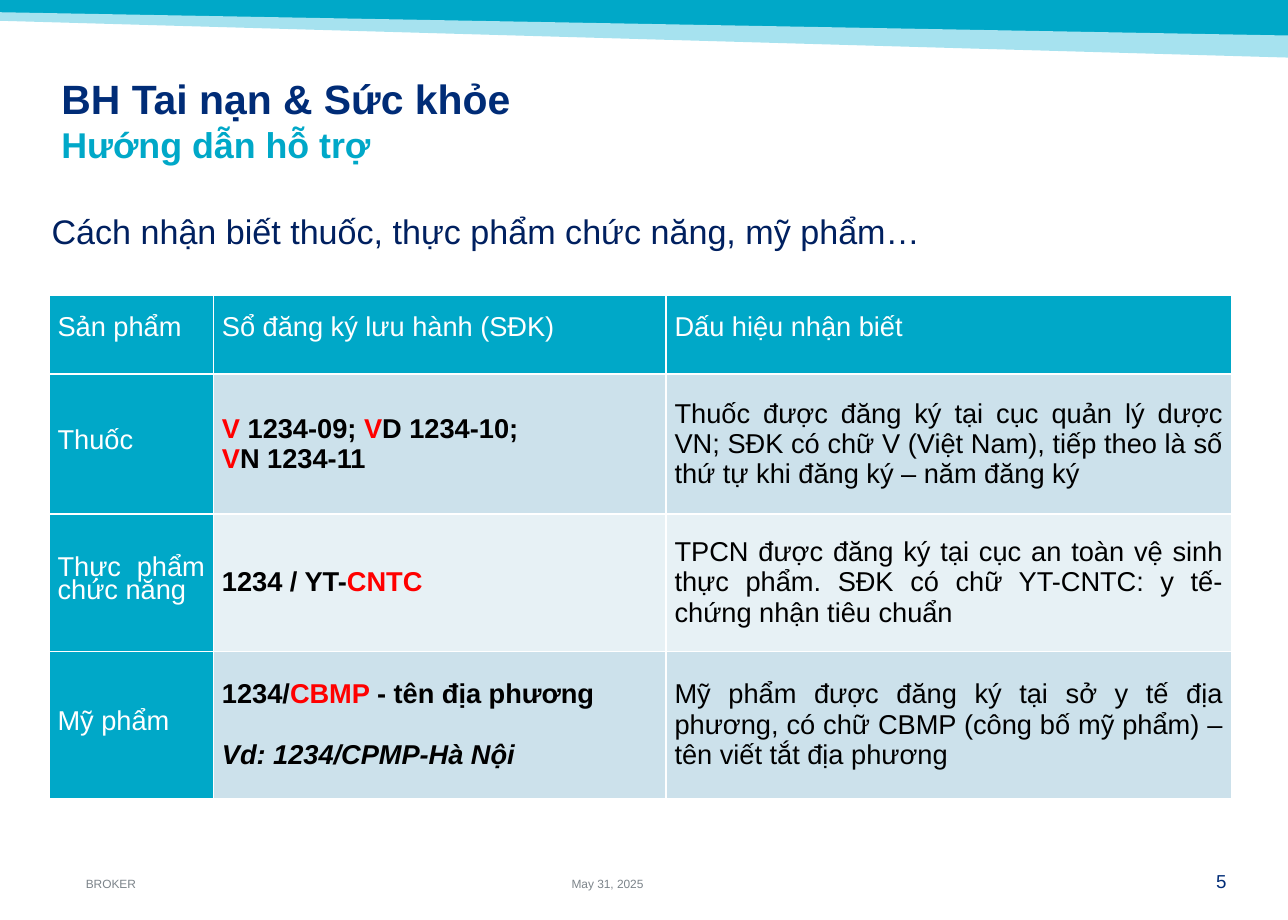
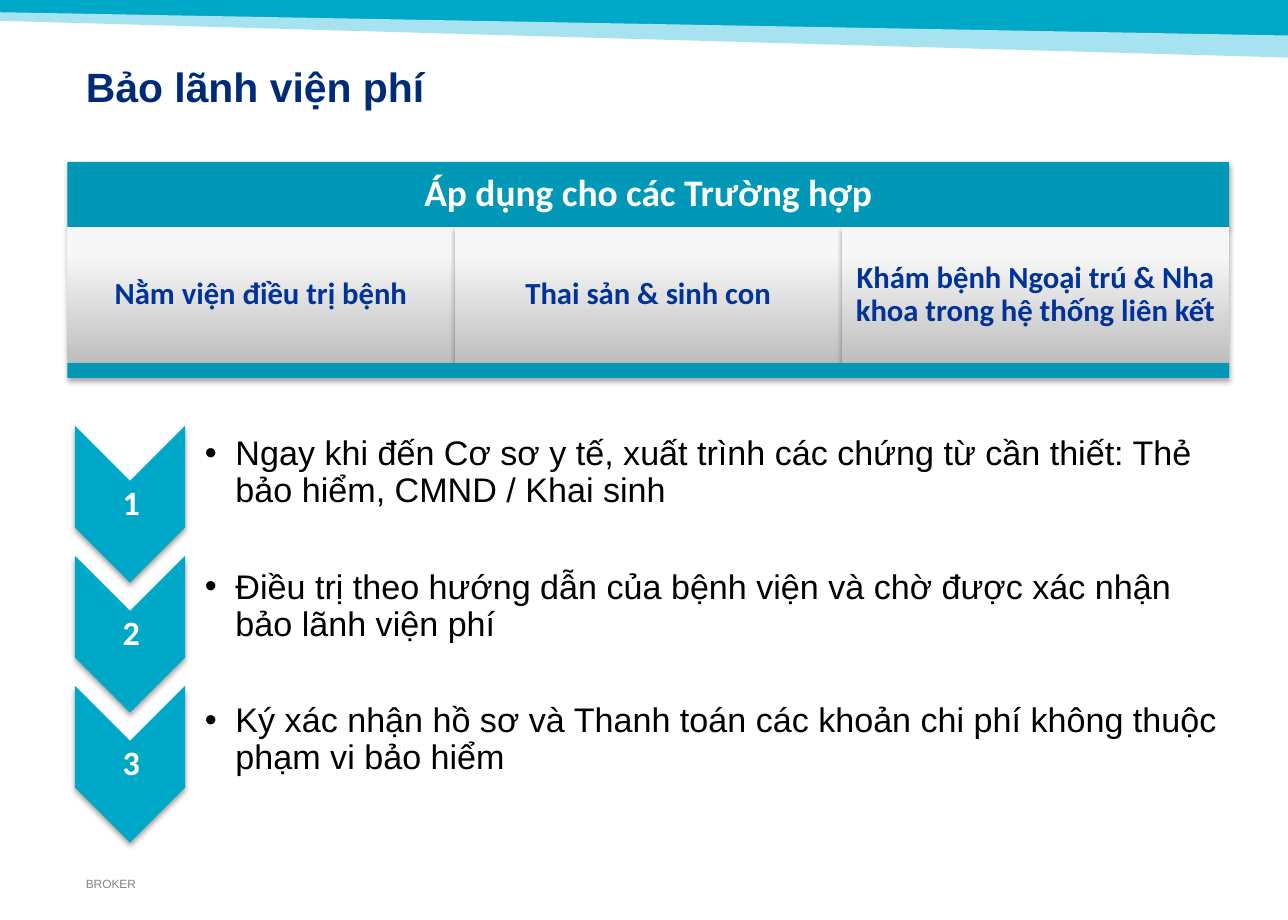
from lxml import etree
from pptx import Presentation
from pptx.dml.color import RGBColor as RGB
from pptx.enum.shapes import MSO_SHAPE as SHAPE
from pptx.enum.text import MSO_ANCHOR as ANCHOR, MSO_AUTO_SIZE as AUTO, PP_ALIGN as ALIGN
from pptx.oxml.ns import qn
from pptx.util import Inches, Pt


class Theme:
    teal = RGB(0x00, 0xA8, 0xC8)
    deep_teal = RGB(0x00, 0x98, 0xB6)
    pale_teal = RGB(0xA6, 0xE2, 0xEF)
    navy = RGB(0x00, 0x2C, 0x77)
    dark_navy = RGB(0x00, 0x20, 0x60)
    blue = RGB(0x00, 0x33, 0x99)
    grey = RGB(0x7C, 0x84, 0x8A)
    red = RGB(0xFF, 0x00, 0x00)
    black = RGB(0x00, 0x00, 0x00)
    white = RGB(0xFF, 0xFF, 0xFF)
    row_fills = (RGB(0xCC, 0xE1, 0xEB), RGB(0xE7, 0xF1, 0xF5))
    fade = (RGB(0xBE, 0xBE, 0xBE), RGB(0xF7, 0xF7, 0xF7))
    body_font, panel_font = "Arial", "Calibri"
    title, subtitle, lead, banner = Pt(24), Pt(21), Pt(20), Pt(22)
    case, table, page, footer = Pt(18), Pt(16), Pt(11), Pt(7)


def write(shape, text, size, color, bold=False, font=Theme.body_font, align=ALIGN.LEFT,
          anchor=ANCHOR.TOP, margins=(0, 0, 0, 0), spacing=None):
    """Put formatted text into a shape, text box or placeholder."""
    frame = shape.text_frame
    frame.text = text
    frame.word_wrap = True
    frame.auto_size = AUTO.NONE
    frame.vertical_anchor = anchor
    (frame.margin_left, frame.margin_top,
     frame.margin_right, frame.margin_bottom) = map(Inches, margins)
    for paragraph in frame.paragraphs:
        paragraph.alignment = align
        paragraph.line_spacing = spacing
        paragraph.space_before = Pt(0)
        for run in paragraph.runs:
            run.font.size, run.font.bold, run.font.name = size, bold, font
            run.font.color.rgb = color


def add_panel(slide, preset, box, color):
    """Add a borderless shape with a soft shadow below it."""
    panel = slide.shapes.add_shape(preset, *map(Inches, box))
    panel.fill.solid()
    panel.fill.fore_color.rgb = color
    panel.line.fill.background()
    panel.shadow.inherit = False
    effects = panel.element.spPr.find(qn("a:effectLst"))
    shadow = etree.SubElement(effects, qn("a:outerShdw"), blurRad="40000", dist="23000",
                              dir="5400000", rotWithShape="0")
    tone = etree.SubElement(shadow, qn("a:srgbClr"), val=str(Theme.black))
    etree.SubElement(tone, qn("a:alpha"), val="35000")
    return panel


prs = Presentation()
prs.slide_width, prs.slide_height = Inches(10.5), Inches(7.5)
products = prs.slides.add_slide(prs.slide_layouts[5])
guarantee = prs.slides.add_slide(prs.slide_layouts[1])
title_margins = (0, 0.05, 0.1, 0.05)

# Shared top bands and footer, moved to the slide master
shared = []
for color, corners in (
    (Theme.teal, [(0, 0), (10.5, 0), (10.5, 0.29), (10.5, 0.32), (0, 0.12)]),
    (Theme.pale_teal, [(0, 0.1), (10.5, 0.29), (10.5, 0.47), (0, 0.17)]),
):
    points = [(Inches(x), Inches(y)) for x, y in corners]
    outline = products.shapes.build_freeform(*points[0])
    outline.add_line_segments(points[1:], close=True)
    band = outline.convert_to_shape()
    band.fill.solid()
    band.fill.fore_color.rgb = color
    band.line.fill.background()
    band.shadow.inherit = False
    shared.append(band)
owner = products.shapes.add_textbox(Inches(0.7), Inches(7.15), Inches(3.16), Inches(0.11))
write(owner, "BROKER", Theme.footer, Theme.grey, anchor=ANCHOR.BOTTOM)
shared.append(owner)
for number, part in enumerate(shared, start=20):
    part.element.nvSpPr.cNvPr.set("id", str(number))
    prs.slide_master.shapes.element.append(part.element)

# Titles
for slide, box, text, size, color, bold, anchor in (
    (products, (0.42, 1.34, 9.5, 0.76), "Cách nhận biết thuốc, thực phẩm chức năng, mỹ phẩm…",
     Theme.lead, Theme.dark_navy, False, ANCHOR.BOTTOM),
    (guarantee, (0.7, 0.36, 9.3, 0.76), "Bảo lãnh viện phí",
     Theme.title, Theme.navy, True, ANCHOR.MIDDLE),
):
    title = slide.shapes.title
    title.left, title.top, title.width, title.height = map(Inches, box)
    write(title, text, size, color, bold, anchor=anchor, margins=title_margins, spacing=0.83)

# Slide 1: section heading
heading = products.shapes.add_textbox(Inches(0.5), Inches(0.55), Inches(9.68), Inches(0.76))
write(heading, "BH Tai nạn & Sức khỏe\nHướng dẫn hỗ trợ", Theme.title, Theme.navy, True,
      margins=title_margins)
subheading = heading.text_frame.paragraphs[1].runs[0].font
subheading.size, subheading.color.rgb = Theme.subtitle, Theme.teal

# Slide 1: product table; the middle column lists paragraphs of (text, colour) runs
headers = ("Sản phẩm", "Sổ đăng ký lưu hành (SĐK)", "Dấu hiệu nhận biết")
rows = (
    ("Thuốc",
     [[("V", Theme.red), (" 1234-09; ", Theme.black), ("V", Theme.red),
       ("D 1234-10;", Theme.black)],
      [("V", Theme.red), ("N 1234-11", Theme.black)]],
     "Thuốc được đăng ký tại cục quản lý dược VN; SĐK có chữ V (Việt Nam), "
     "tiếp theo là số thứ tự khi đăng ký – năm đăng ký"),
    ("Thực phẩm chức năng",
     [[("1234 / YT-", Theme.black), ("CNTC", Theme.red)]],
     "TPCN được đăng ký tại cục an toàn vệ sinh thực phẩm. SĐK có chữ YT-CNTC: "
     "y tế-chứng nhận tiêu chuẩn"),
    ("Mỹ phẩm",
     [[("1234/", Theme.black), ("CBMP ", Theme.red), ("- tên địa phương", Theme.black)],
      [("Vd: 1234/CPMP-Hà Nội", Theme.black)]],
     "Mỹ phẩm được đăng ký tại sở y tế địa phương, có chữ CBMP (công bố mỹ phẩm) – "
     "tên viết tắt địa phương"),
)
table = products.shapes.add_table(len(rows) + 1, len(headers), Inches(0.4), Inches(2.41),
                                  Inches(9.64), Inches(4.1)).table
for column, width in zip(table.columns, (1.34, 3.69, 4.61)):
    column.width = Inches(width)
for row, height in zip(table.rows, (0.64, 1.14, 1.12, 1.2)):
    row.height = Inches(height)
for r, contents in enumerate((headers, *rows)):
    for c, content in enumerate(contents):
        cell = table.cell(r, c)
        label = r == 0 or c == 0
        cell.fill.solid()
        cell.fill.fore_color.rgb = Theme.teal if label else Theme.row_fills[(r - 1) % 2]
        cell.margin_left = cell.margin_right = Inches(0.07)
        cell.margin_top = Inches(0 if r else 0.19)
        cell.margin_bottom = 0
        cell.vertical_anchor = ANCHOR.MIDDLE if r else ANCHOR.TOP
        registration = isinstance(content, list)
        lines = content if registration else [
            [(content, Theme.white if label else Theme.black)]]
        cell.text_frame.text = "\n".join("" for _ in lines)
        for paragraph, line in zip(cell.text_frame.paragraphs, lines):
            paragraph.alignment = ALIGN.JUSTIFY
            if label:
                paragraph.line_spacing = Pt(13.5)
            for text, color in line:
                run = paragraph.add_run()
                run.text = text
                run.font.size, run.font.name = Theme.table, Theme.body_font
                run.font.bold, run.font.color.rgb = registration, color
example = table.cell(3, 1).text_frame.paragraphs[1]
example.space_before = Pt(18)
example.runs[0].font.italic = True

# Slide 1: page number and date
page = products.shapes.add_textbox(Inches(9.51), Inches(7.09), Inches(0.49), Inches(0.18))
write(page, "5", Theme.page, Theme.navy, align=ALIGN.RIGHT)
date = products.shapes.add_textbox(Inches(4.66), Inches(7.14), Inches(1.18), Inches(0.12))
write(date, "May 31, 2025", Theme.footer, Theme.grey, anchor=ANCHOR.BOTTOM)

# Slide 2: covered cases under a banner
panel_left, panel_width = 0.55, 9.47
banner = add_panel(guarantee, SHAPE.RECTANGLE, (panel_left, 1.32, panel_width, 0.53),
                   Theme.deep_teal)
write(banner, "Áp dụng cho các Trường hợp", Theme.banner, Theme.white, True, Theme.panel_font,
      ALIGN.CENTER, ANCHOR.MIDDLE, (0.09,) * 4, 0.9)
cases = ("Nằm viện điều trị bệnh", "Thai sản & sinh con",
         "Khám bệnh Ngoại trú & Nha khoa trong hệ thống liên kết")
case_width = panel_width / len(cases)
for i, text in enumerate(cases):
    case = add_panel(guarantee, SHAPE.RECTANGLE,
                     (panel_left + i * case_width, 1.85, case_width, 1.11), Theme.fade[1])
    case.fill.gradient()
    case.fill.gradient_angle = 90
    for stop, color, position in zip(case.fill.gradient_stops, Theme.fade, (0, 0.8)):
        stop.color.rgb, stop.position = color, position
    write(case, text, Theme.case, Theme.blue, True, Theme.panel_font,
          ALIGN.CENTER, ANCHOR.MIDDLE, (0.07,) * 4, 0.9)
add_panel(guarantee, SHAPE.RECTANGLE, (panel_left, 2.96, panel_width, 0.12), Theme.deep_teal)

# Slide 2: numbered steps
steps = ("Ngay khi đến Cơ sơ y tế, xuất trình các chứng từ cần thiết: Thẻ bảo hiểm, "
         "CMND / Khai sinh",
         "Điều trị theo hướng dẫn của bệnh viện và chờ được xác nhận bảo lãnh viện phí",
         "Ký xác nhận hồ sơ và Thanh toán các khoản chi phí không thuộc phạm vi bảo hiểm")
step_pitch = 1.06
for i in range(len(steps)):
    drop = i * step_pitch
    chevron = add_panel(guarantee, SHAPE.CHEVRON, (0.42, 3.66 + drop, 1.28, 0.9), Theme.teal)
    chevron.rotation = 90
    step_number = guarantee.shapes.add_textbox(Inches(0.62), Inches(3.92 + drop),
                                               Inches(0.9), Inches(0.38))
    write(step_number, str(i + 1), Theme.lead, Theme.white, True, Theme.panel_font,
          ALIGN.CENTER, ANCHOR.MIDDLE, (0.01,) * 4, 0.9)

step_list = guarantee.placeholders[1]
step_list.left, step_list.top = Inches(1.51), Inches(3.51)
step_list.width, step_list.height = Inches(8.46), Inches(0.75 + 2 * step_pitch)
write(step_list, "\n".join(steps), Theme.lead, Theme.black, anchor=ANCHOR.MIDDLE,
      margins=(0.16, 0.01, 0.01, 0.01), spacing=0.9)
for i, paragraph in enumerate(step_list.text_frame.paragraphs):
    properties = paragraph._p.get_or_add_pPr()
    properties.set("marL", str(Inches(0.25)))
    properties.set("indent", str(-Inches(0.25)))
    paragraph.space_before = Pt(35 if i else 0)

prs.save("out.pptx")
